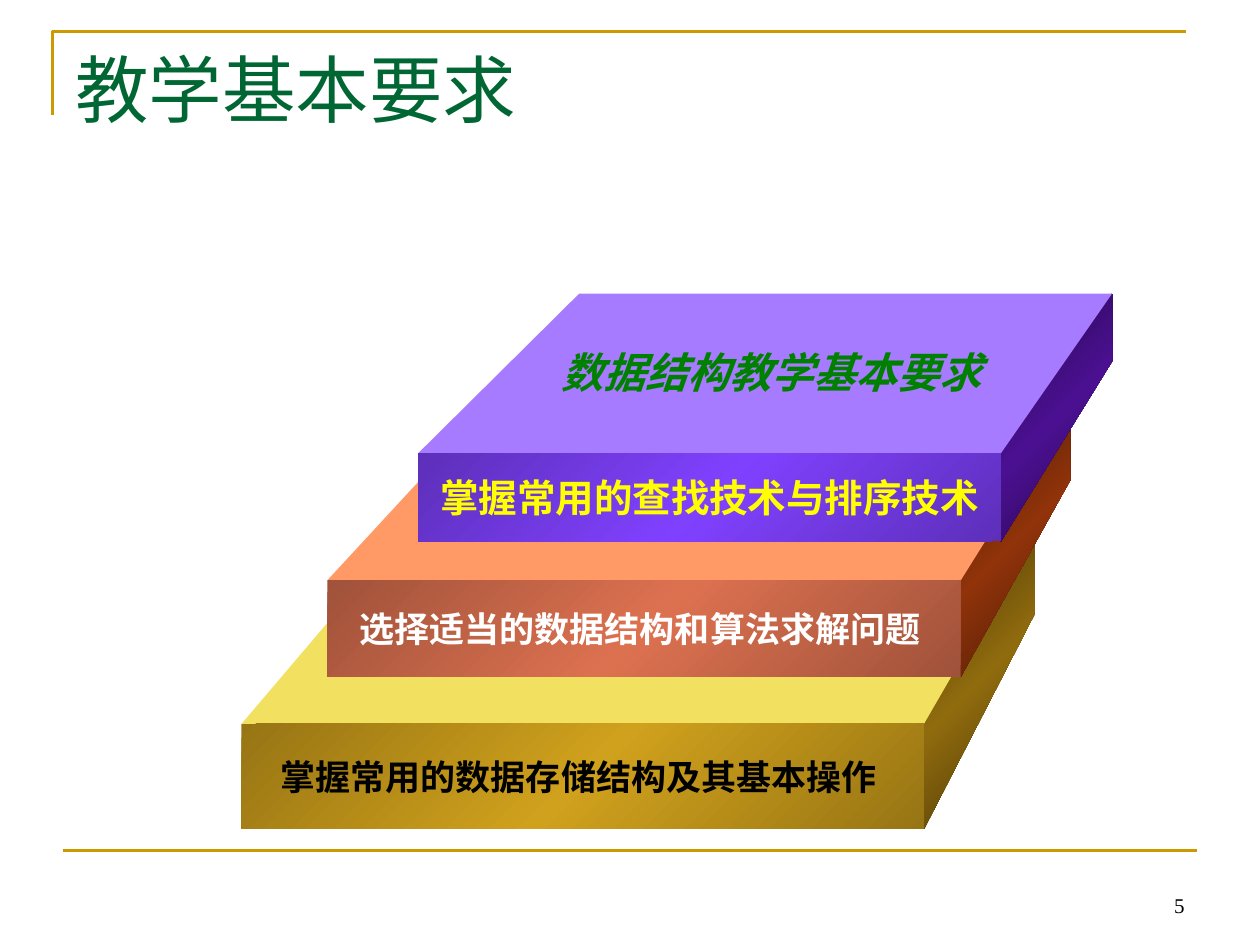
"""Build the teaching requirements slide with three stacked slabs."""
from copy import deepcopy
from dataclasses import dataclass

from lxml.etree import SubElement
from pptx import Presentation
from pptx.dml.color import RGBColor
from pptx.enum.shapes import MSO_CONNECTOR, MSO_SHAPE
from pptx.enum.text import MSO_ANCHOR, PP_ALIGN
from pptx.oxml.ns import qn
from pptx.util import Pt


@dataclass(frozen=True)
class Theme:
    rule: str = "CC9900"
    title: str = "006633"
    label: str = "008000"
    black: str = "000000"
    white: str = "FFFFFF"
    yellow: str = "FFFF00"
    gold: tuple = ("F2E160", ("977514", "D0A11C"), ("433206", "906B0E"))
    orange: tuple = ("FF9966", ("A0523A", "DC7150"), ("431805", "90330A"))
    purple: tuple = ("A77BFF", ("5D2FB9", "8041FF"), ("230744", "4B1092"))
    head_size: int = 42
    label_size: int = 24
    top_size: int = 22
    body_size: int = 20
    page_size: int = 12
    head_font: str = "Roboto"
    body_font: str = "Noto Sans CJK SC"
    page_font: str = "Times New Roman"


@dataclass(frozen=True)
class Slab:
    left: float
    right: float
    front: float
    base: float
    back_left: float
    back_right: float
    back: float
    back_base: float


THEME = Theme()


def color(code):
    return RGBColor.from_string(code)


def write(shape, text, font, size, code, align=PP_ALIGN.LEFT,
          anchor=MSO_ANCHOR.MIDDLE, wrap=False, bold=False, slant=False):
    frame = shape.text_frame
    frame.text = text
    frame.word_wrap = wrap
    frame.vertical_anchor = anchor
    line = frame.paragraphs[0]
    line.alignment = align
    for run in line.runs:
        style = run.font
        style.size, style.bold, style.italic = Pt(size), bold, slant
        style.color.rgb = color(code)
        style.name = font
        SubElement(run._r.get_or_add_rPr(), qn("a:ea"), typeface=font)


def paint(shape, tint):
    shape.shadow.inherit = False
    shape.line.fill.background()
    fill = shape.fill
    if isinstance(tint, str):
        fill.solid()
        fill.fore_color.rgb = color(tint)
        return
    edge, mid = tint
    fill.gradient()
    fill.gradient_angle = 315
    stops = shape._element.spPr.find(".//" + qn("a:gsLst"))
    stops.insert(1, deepcopy(stops[0]))
    for stop, place, code in zip(fill.gradient_stops, (0, 0.5, 1), (edge, mid, edge)):
        stop.position = place
        stop.color.rgb = color(code)


def add_text(shapes, box, *words, **style):
    write(shapes.add_textbox(*map(Pt, box)), *words, **style)


def add_outline(shapes, points, close=True):
    start, *rest = [(Pt(x), Pt(y)) for x, y in points]
    path = shapes.build_freeform(*start)
    path.add_line_segments(rest, close=close)
    return path.convert_to_shape()


def add_frame(shapes):
    bend = add_outline(shapes, [(30, 66), (30, 18), (678, 18)], close=False)
    bend.fill.background()
    bend.shadow.inherit = False
    rule = shapes.add_connector(MSO_CONNECTOR.STRAIGHT, Pt(36), Pt(486), Pt(684), Pt(486))
    SubElement(rule._element.spPr, qn("a:effectLst"))
    for line in (bend.line, rule.line):
        line.color.rgb = color(THEME.rule)
        line.width = Pt(1.5)


def add_slab(slide, slab, tints, text, size, code):
    top, front, side = tints
    group = slide.shapes.add_group_shape().shapes
    near, far = (slab.right, slab.front), (slab.back_right, slab.back)
    paint(add_outline(group, [(slab.back_right, slab.back_base),
                              (slab.right, slab.base), near, far]), side)
    paint(add_outline(group, [near, (slab.left, slab.front),
                              (slab.back_left, slab.back), far]), top)
    face = group.add_shape(MSO_SHAPE.RECTANGLE, Pt(slab.left), Pt(slab.front),
                           Pt(slab.right - slab.left), Pt(slab.base - slab.front))
    paint(face, front)
    write(face, text, THEME.body_font, size, code, align=PP_ALIGN.CENTER, bold=True)
    return group


def main():
    deck = Presentation()
    deck.slide_width, deck.slide_height = Pt(720), Pt(540)
    slide = deck.slides.add_slide(deck.slide_layouts[6])
    shapes = slide.shapes
    add_frame(shapes)
    add_text(shapes, (36, 21.6, 648, 90), "教学基本要求", THEME.head_font,
             THEME.head_size, THEME.title, anchor=MSO_ANCHOR.TOP, wrap=True)
    add_text(shapes, (516, 492, 168, 36), "5", THEME.page_font, THEME.page_size,
             THEME.black, align=PP_ALIGN.RIGHT, anchor=MSO_ANCHOR.BOTTOM, wrap=True)
    add_slab(slide, Slab(138, 528, 413.7, 473.7, 231, 591.3, 304.3, 350.7), THEME.gold,
             "掌握常用的数据存储结构及其基本操作 ", THEME.body_size, THEME.black)
    add_slab(slide, Slab(187, 549, 331.7, 386.7, 279.3, 611.5, 231.8, 274.5), THEME.orange,
             "选择适当的数据结构和算法求解问题 ", THEME.body_size, THEME.white)
    upper = add_slab(slide, Slab(239, 572, 259, 309.4, 331, 635.5, 167.8, 206.5), THEME.purple,
                     "掌握常用的查找技术与排序技术", THEME.top_size, THEME.yellow)
    add_text(upper, (294, 187.2, 294, 50.4), "数据结构教学基本要求", THEME.body_font,
             THEME.label_size, THEME.label, align=PP_ALIGN.CENTER, bold=True, slant=True)
    deck.save("out.pptx")


if __name__ == "__main__":
    main()
